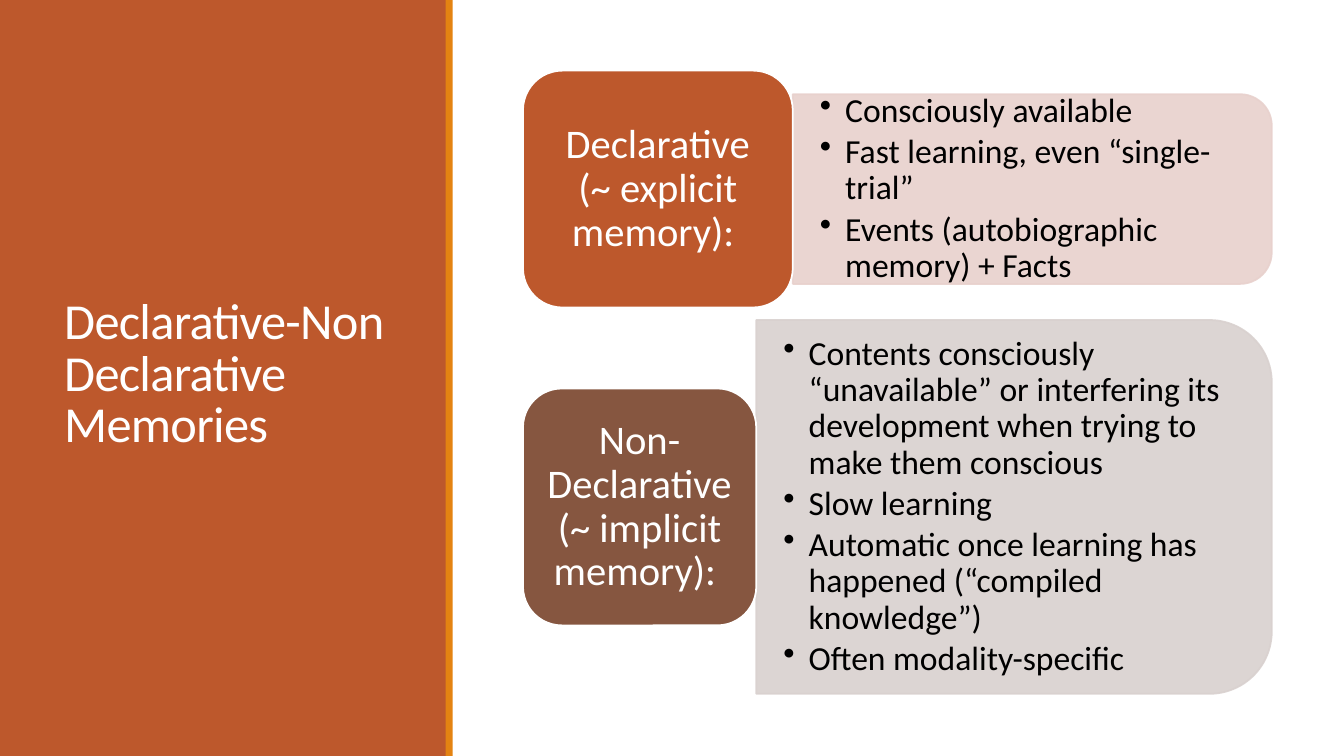
"""Builds the slide on declarative and non-declarative memories."""
from dataclasses import dataclass

from lxml import etree
from pptx import Presentation
from pptx.dml.color import RGBColor
from pptx.enum import shapes, text
from pptx.oxml import ns
from pptx.util import Cm, Pt


@dataclass(frozen=True)
class Theme:
    font: str = "Calibri"
    rust: str = "BD582C"
    orange: str = "E48312"
    brown: str = "865640"
    rose: str = "E8D1CD"
    grey: str = "D9D1CF"
    white: str = "FFFFFF"
    black: str = "000000"
    title_size: int = 36
    label_size: int = 29
    bullet_size: int = 24


THEME = Theme()


def add_block(kind, left, top, width, height, fill, line=None):
    block = slide.shapes.add_shape(kind, Cm(left), Cm(top), Cm(width), Cm(height))
    block.shadow.inherit = False
    block.fill.solid()
    block.fill.fore_color.rgb = RGBColor.from_string(fill)
    if line:
        block.line.color.rgb = RGBColor.from_string(line)
        block.line.width = Pt(1.25)
    else:
        block.line.fill.background()
    return block


def write(shape, lines, size, color, align, spacing, inset_x, inset_y):
    frame = shape.text_frame
    frame.word_wrap = True
    frame.vertical_anchor = text.MSO_ANCHOR.MIDDLE
    frame.margin_left = frame.margin_right = Cm(inset_x)
    frame.margin_top = frame.margin_bottom = Cm(inset_y)
    frame.text = "\n".join(lines)
    for paragraph in frame.paragraphs:
        paragraph.alignment = align
        paragraph.line_spacing = spacing
        for run in paragraph.runs:
            run.font.name = THEME.font
            run.font.size = Pt(size)
            run.font.color.rgb = RGBColor.from_string(color)
    return frame.paragraphs


presentation = Presentation()
presentation.slide_width, presentation.slide_height = Cm(33.87), Cm(19.05)
slide = presentation.slides.add_slide(presentation.slide_layouts[6])

RECT = shapes.MSO_SHAPE.RECTANGLE
add_block(RECT, 0, 0, 11.25, 19.05, THEME.rust)
add_block(RECT, 11.23, 0, 0.18, 19.05, THEME.orange)

title = slide.shapes.add_textbox(Cm(1.37), Cm(1.45), Cm(8.56), Cm(16.03))
title_lines = write(title, ["Declarative-Non Declarative Memories"], THEME.title_size,
                    THEME.white, text.PP_ALIGN.LEFT, 0.85, 0.25, 0.13)
title_lines[0].runs[0].font._element.set("spc", "-50")

LABEL_LEFT, LABEL_HEIGHT, PANEL_RIGHT = 13.18, 5.97, 32.05
memories = [
    ("Declarative (~ explicit memory): ", 1.78, 6.8, 4.78, THEME.rust, THEME.rose, [
        "Consciously available",
        "Fast learning, even “single-trial”",
        "Events (autobiographic memory) + Facts",
    ]),
    ("Non-Declarative (~ implicit memory): ", 9.79, 5.88, 9.42, THEME.brown, THEME.grey, [
        "Contents consciously “unavailable” or interfering its development "
        "when trying to make them conscious",
        "Slow learning",
        "Automatic once learning has happened (“compiled knowledge”)",
        "Often modality-specific",
    ]),
]

for name, label_top, label_width, panel_height, label_fill, panel_fill, traits in memories:
    panel_left = LABEL_LEFT + label_width
    panel_width = PANEL_RIGHT - panel_left
    center_x = panel_left + panel_width / 2
    center_y = label_top + LABEL_HEIGHT / 2
    panel_top = center_y - panel_height / 2

    panel = add_block(shapes.MSO_SHAPE.ROUND_2_SAME_RECTANGLE,
                      center_x - panel_height / 2, center_y - panel_width / 2,
                      panel_height, panel_width, panel_fill, panel_fill)
    panel.rotation = 90
    for color in panel._element.spPr.iter(ns.qn("a:srgbClr")):
        etree.SubElement(color, ns.qn("a:alpha"), val="90000")

    corner = panel_height * 0.05
    trait_box = slide.shapes.add_textbox(Cm(panel_left), Cm(panel_top + corner),
                                         Cm(panel_width - corner),
                                         Cm(panel_height - 2 * corner))
    bullets = write(trait_box, traits, THEME.bullet_size, THEME.black,
                    text.PP_ALIGN.LEFT, 0.9, 0.68, 0.34)
    for bullet in bullets:
        bullet.space_after = Pt(3.6)
        properties = bullet._p.get_or_add_pPr()
        properties.set("marL", str(Cm(0.64)))
        properties.set("indent", str(Cm(-0.64)))
        etree.SubElement(properties, ns.qn("a:buChar"), char="•")

    label = add_block(shapes.MSO_SHAPE.ROUNDED_RECTANGLE, LABEL_LEFT, label_top,
                      label_width, LABEL_HEIGHT, label_fill, THEME.white)
    write(label, [name], THEME.label_size, THEME.white, text.PP_ALIGN.CENTER, 0.9, 0.3, 0.15)

presentation.save("out.pptx")
